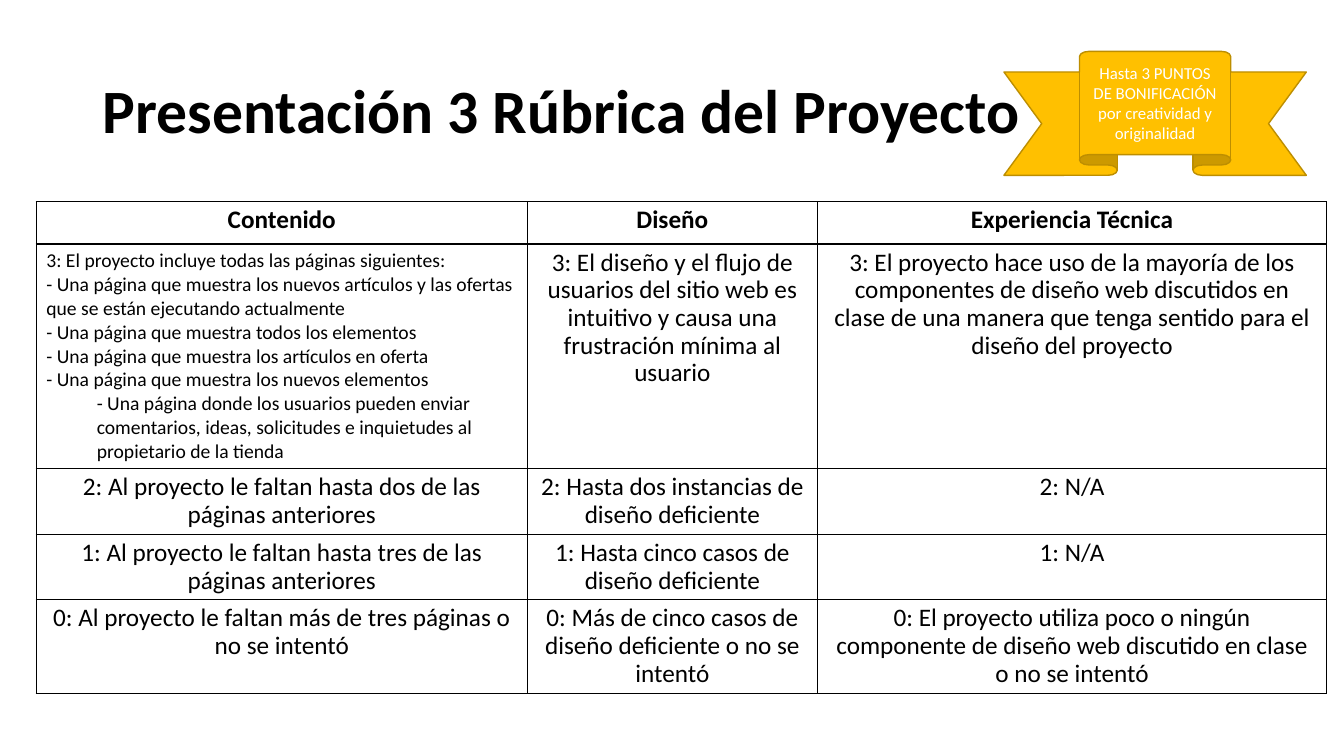
"""Build the project rubric slide."""
from dataclasses import dataclass

from lxml.etree import SubElement
from pptx import Presentation
from pptx.dml.color import RGBColor
from pptx.enum.shapes import MSO_SHAPE as Preset
from pptx.enum.text import MSO_ANCHOR as Anchor, MSO_AUTO_SIZE as AutoSize, PP_ALIGN as Align
from pptx.oxml.ns import qn
from pptx.util import Inches, Pt


@dataclass(frozen=True)
class Theme:
    """Colours and type sizes of the slide."""
    font: str = "Calibri"
    ink: str = "000000"
    paper: str = "FFFFFF"
    gold: str = "FFC000"
    gold_edge: str = "BD8E00"
    title: int = 44
    body: int = 18
    detail: int = 14
    badge: int = 12
    tight: float = 0.9


THEME = Theme()
WIDTH, HEIGHT = Inches(13.33), Inches(7.5)
COLUMNS = (36.53, 21.6, 37.88)
ROWS = (5.6, 29.73, 8.67, 8.67, 12.4)
HEADINGS = ("Contenido", "Diseño", "Experiencia Técnica")
PAGES = (
    "3: El proyecto incluye todas las páginas siguientes:",
    "- Una página que muestra los nuevos artículos y las ofertas que se están ejecutando actualmente",
    "- Una página que muestra todos los elementos",
    "- Una página que muestra los artículos en oferta",
    "- Una página que muestra los nuevos elementos",
    "- Una página donde los usuarios pueden enviar comentarios, ideas, solicitudes e inquietudes "
    "al propietario de la tienda",
)
LEVELS = (
    (PAGES,
     "3: El diseño y el flujo de usuarios del sitio web es intuitivo y causa una frustración mínima al usuario",
     "3: El proyecto hace uso de la mayoría de los componentes de diseño web discutidos en clase "
     "de una manera que tenga sentido para el diseño del proyecto"),
    ("2: Al proyecto le faltan hasta dos de las páginas anteriores",
     "2: Hasta dos instancias de diseño deficiente",
     "2: N/A"),
    ("1: Al proyecto le faltan hasta tres de las páginas anteriores",
     "1: Hasta cinco casos de diseño deficiente",
     "1: N/A"),
    ("0: Al proyecto le faltan más de tres páginas o no se intentó",
     "0: Más de cinco casos de diseño deficiente o no se intentó",
     "0: El proyecto utiliza poco o ningún componente de diseño web discutido en clase o no se intentó"),
)


def across(percent):
    """Return a share of the slide's width."""
    return round(WIDTH * percent / 100)


def down(percent):
    """Return a share of the slide's height."""
    return round(HEIGHT * percent / 100)


def write(para, text, size, color=THEME.ink, bold=False, align=Align.CENTER, spacing=THEME.tight):
    """Add one formatted run to a paragraph."""
    para.alignment, para.line_spacing = align, spacing
    span = para.add_run()
    span.text = text
    span.font.name, span.font.size, span.font.bold = THEME.font, Pt(size), bold
    span.font.color.rgb = RGBColor.from_string(color)


def add_title(page, text):
    """Place and fill the title placeholder."""
    box = page.shapes.title
    box.left, box.top, box.width, box.height = across(6.9), down(5.33), across(86.25), down(19.33)
    frame = box.text_frame
    frame.vertical_anchor, frame.auto_size = Anchor.MIDDLE, AutoSize.NONE
    write(frame.paragraphs[0], text, THEME.title, bold=True, align=Align.LEFT)


def frame_cell(cell):
    """Give a cell a paper fill and thin borders."""
    props = cell._tc.get_or_add_tcPr()
    for side in ("lnL", "lnR", "lnT", "lnB"):
        line = SubElement(props, qn(f"a:{side}"), w=str(Pt(1)))
        SubElement(SubElement(line, qn("a:solidFill")), qn("a:srgbClr"), val=THEME.ink)
    cell.fill.solid()
    cell.fill.fore_color.rgb = RGBColor.from_string(THEME.paper)


def list_pages(frame, lines):
    """Write the required pages, with the last one indented."""
    for index, text in enumerate(lines):
        para = frame.add_paragraph() if index else frame.paragraphs[0]
        if text == lines[-1]:
            para._p.get_or_add_pPr().set("marL", str(Inches(0.5)))
        write(para, text, THEME.detail, align=Align.LEFT, spacing=1.0)


def add_rubric(page):
    """Add the rubric table."""
    grid = page.shapes.add_table(len(ROWS), len(COLUMNS), across(2.7), down(26.67),
                                 across(sum(COLUMNS)), down(sum(ROWS))).table
    grid.first_row = grid.horz_banding = False
    for column, share in zip(grid.columns, COLUMNS):
        column.width = across(share)
    for row, share, texts in zip(grid.rows, ROWS, (HEADINGS, *LEVELS)):
        row.height = down(share)
        for cell, text in zip(row.cells, texts):
            frame_cell(cell)
            if text is PAGES:
                list_pages(cell.text_frame, text)
            else:
                write(cell.text_frame.paragraphs[0], text, THEME.body, bold=texts is HEADINGS)


def add_badge(page, text):
    """Add the bonus ribbon."""
    ribbon = page.shapes.add_shape(Preset.UP_RIBBON, across(74.7), down(6.8), across(22.5), down(16.4))
    ribbon.shadow.inherit = False
    ribbon.fill.solid()
    ribbon.fill.fore_color.rgb = RGBColor.from_string(THEME.gold)
    ribbon.line.color.rgb = RGBColor.from_string(THEME.gold_edge)
    ribbon.line.width = Pt(1)
    frame = ribbon.text_frame
    frame.word_wrap, frame.vertical_anchor = True, Anchor.MIDDLE
    write(frame.paragraphs[0], text, THEME.badge, THEME.paper, spacing=1.0)


def main():
    """Build and save the deck."""
    deck = Presentation()
    deck.slide_width, deck.slide_height = WIDTH, HEIGHT
    page = deck.slides.add_slide(deck.slide_layouts.get_by_name("Title Only"))
    add_title(page, "Presentación 3 Rúbrica del Proyecto")
    add_rubric(page)
    add_badge(page, "Hasta 3 PUNTOS DE BONIFICACIÓN por creatividad y originalidad")
    deck.save("out.pptx")


if __name__ == "__main__":
    main()
